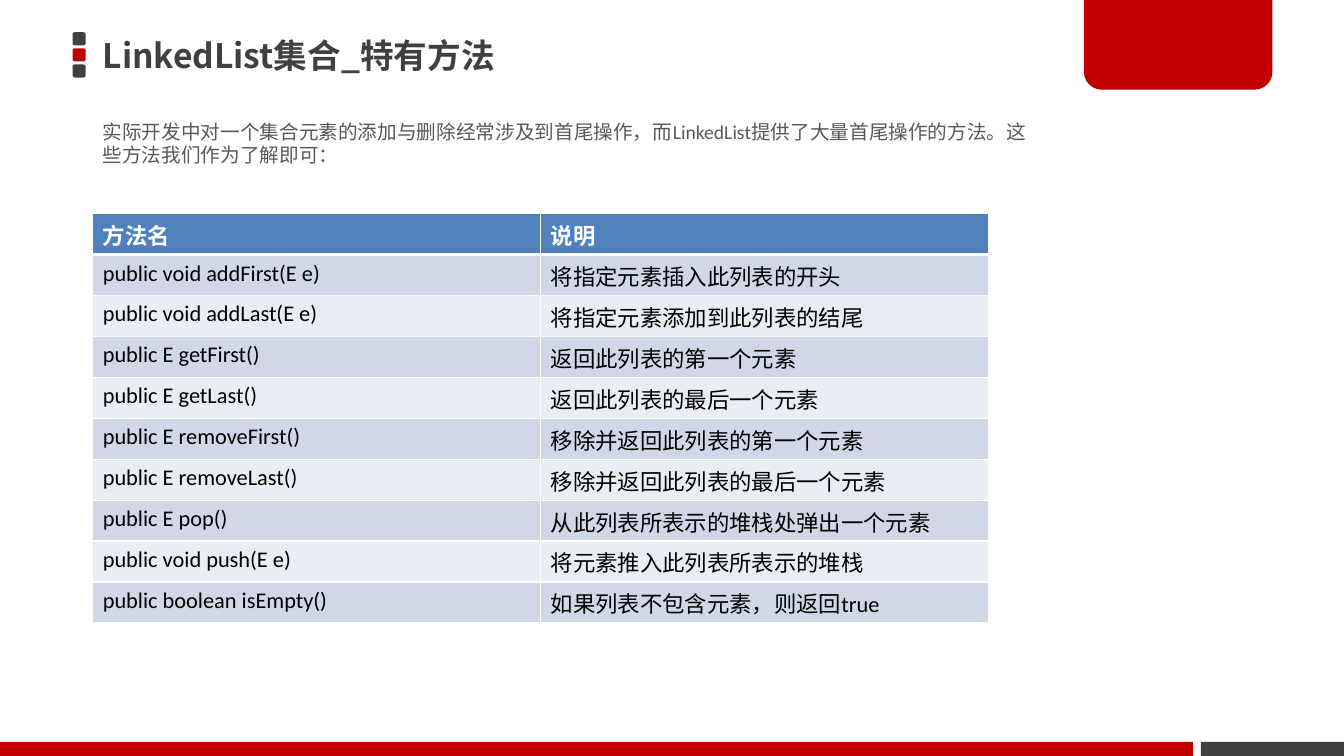
from dataclasses import dataclass

from lxml import etree
from pptx import Presentation
from pptx.dml.color import RGBColor
from pptx.enum.lang import MSO_LANGUAGE_ID
from pptx.enum.shapes import MSO_SHAPE
from pptx.enum.text import MSO_ANCHOR
from pptx.oxml.ns import qn
from pptx.slide import Slide
from pptx.table import _Cell
from pptx.text.text import TextFrame
from pptx.util import Inches, Pt

RECTANGLE = MSO_SHAPE.RECTANGLE
ROUNDED = MSO_SHAPE.ROUNDED_RECTANGLE
ROUNDED_PAIR = MSO_SHAPE.ROUND_2_SAME_RECTANGLE
TOP = MSO_ANCHOR.TOP
MIDDLE = MSO_ANCHOR.MIDDLE
CHINESE = MSO_LANGUAGE_ID.SIMPLIFIED_CHINESE
SLIDE_WIDTH = Inches(13.33)
SLIDE_HEIGHT = Inches(7.5)
BLANK_LAYOUT = 6


@dataclass(frozen=True)
class Theme:
    red: str = "C00000"
    dark: str = "404040"
    gray: str = "595959"
    black: str = "000000"
    white: str = "FFFFFF"
    header: str = "4F81BD"
    bands: tuple[str, str] = ("D0D8E8", "E9EDF4")
    latin: str = "Calibri"
    asian: str = "Noto Sans CJK JP"
    title_size: int = 24
    table_size: int = 16
    body_size: int = 14
    thin_line: int = 1
    thick_line: int = 3


@dataclass(frozen=True)
class Box:
    """Position and size in percent of the slide's width and height."""

    left: float
    top: float
    width: float
    height: float

    def lengths(self) -> tuple[int, int, int, int]:
        return (
            round(SLIDE_WIDTH * self.left / 100),
            round(SLIDE_HEIGHT * self.top / 100),
            round(SLIDE_WIDTH * self.width / 100),
            round(SLIDE_HEIGHT * self.height / 100),
        )


@dataclass(frozen=True)
class Block:
    box: Box
    color: str
    kind: MSO_SHAPE = RECTANGLE
    adjustments: tuple[float, ...] = ()


@dataclass(frozen=True)
class Method:
    signature: str
    description: str


THEME = Theme()
MARGIN = 6.9
MARKER_TOP = 4.27
MARKER_PITCH = 2.13
TITLE_BOX = Box(MARGIN, 3.47, 71.94, 7.6)
BODY_BOX = Box(MARGIN, 15.2, 70.9, 7.6)
TABLE_BOX = Box(MARGIN, 28.27, 66.69, 54.13)

BLOCKS = [
    Block(Box(5.4, MARKER_TOP + index * MARKER_PITCH, 0.98, 1.73), color, ROUNDED, (0.17,))
    for index, color in enumerate((THEME.dark, THEME.red, THEME.dark))
] + [
    Block(Box(89.35, 98.13, 10.65, 1.87), THEME.dark),
    Block(Box(80.65, 0, 14.03, 11.87), THEME.red, ROUNDED_PAIR, (0, 0.2)),
    Block(Box(0, 98.13, 88.75, 1.87), THEME.red),
]

TITLE = "LinkedList集合_特有方法"
BODY = (
    "实际开发中对一个集合元素的添加与删除经常涉及到首尾操作，"
    "而LinkedList提供了大量首尾操作的方法。这些方法我们作为了解即可："
)
HEADER = Method("方法名", "说明")
METHODS = [
    Method("public void addFirst(E e)", "将指定元素插入此列表的开头"),
    Method("public void addLast(E e)", "将指定元素添加到此列表的结尾"),
    Method("public E getFirst()", "返回此列表的第一个元素"),
    Method("public E getLast()", "返回此列表的最后一个元素"),
    Method("public E removeFirst()", "移除并返回此列表的第一个元素"),
    Method("public E removeLast()", "移除并返回此列表的最后一个元素"),
    Method("public E pop()", "从此列表所表示的堆栈处弹出一个元素"),
    Method("public void push(E e)", "将元素推入此列表所表示的堆栈"),
    Method("public boolean isEmpty()", "如果列表不包含元素，则返回true"),
]


def write_text(
    frame: TextFrame,
    text: str,
    *,
    size: int,
    color: str,
    latin: str = THEME.latin,
    asian: str = THEME.asian,
    bold: bool = False,
) -> None:
    run = frame.paragraphs[0].add_run()
    run.text = text
    font = run.font
    font.size = Pt(size)
    font.bold = bold
    font.color.rgb = RGBColor.from_string(color)
    font.language_id = CHINESE
    font.name = latin
    properties = run._r.get_or_add_rPr()
    etree.SubElement(properties, qn("a:ea"), typeface=asian)


def add_block(slide: Slide, block: Block) -> None:
    shape = slide.shapes.add_shape(block.kind, *block.box.lengths())
    for index, value in enumerate(block.adjustments):
        shape.adjustments[index] = value
    shape.shadow.inherit = False
    shape.fill.solid()
    shape.fill.fore_color.rgb = RGBColor.from_string(block.color)
    shape.line.fill.background()


def add_text_frame(slide: Slide, box: Box, anchor: MSO_ANCHOR) -> TextFrame:
    frame = slide.shapes.add_textbox(*box.lengths()).text_frame
    frame.word_wrap = True
    frame.vertical_anchor = anchor
    return frame


def add_border(cell: _Cell, side: str, width: int) -> None:
    properties = cell._tc.get_or_add_tcPr()
    line = etree.SubElement(properties, qn(f"a:ln{side}"), w=str(Pt(width)))
    fill = etree.SubElement(line, qn("a:solidFill"))
    etree.SubElement(fill, qn("a:srgbClr"), val=THEME.white)


def add_method_table(slide: Slide, box: Box) -> None:
    rows = [HEADER, *METHODS]
    table = slide.shapes.add_table(len(rows), 2, *box.lengths()).table
    for row_index, method in enumerate(rows):
        is_header = row_index == 0
        fill_color = THEME.header if is_header else THEME.bands[(row_index - 1) % 2]
        for column_index, text in enumerate((method.signature, method.description)):
            cell = table.cell(row_index, column_index)
            for side in "LRTB":
                thick = (is_header and side == "B") or (row_index == 1 and side == "T")
                add_border(cell, side, THEME.thick_line if thick else THEME.thin_line)
            cell.fill.solid()
            cell.fill.fore_color.rgb = RGBColor.from_string(fill_color)
            write_text(
                cell.text_frame,
                text,
                size=THEME.table_size,
                color=THEME.white if is_header else THEME.black,
                bold=is_header,
            )


def main() -> None:
    presentation = Presentation()
    presentation.slide_width = SLIDE_WIDTH
    presentation.slide_height = SLIDE_HEIGHT
    slide = presentation.slides.add_slide(presentation.slide_layouts[BLANK_LAYOUT])
    for block in BLOCKS:
        add_block(slide, block)
    title = add_text_frame(slide, TITLE_BOX, MIDDLE)
    write_text(title, TITLE, size=THEME.title_size, color=THEME.dark, latin=THEME.asian, bold=True)
    add_method_table(slide, TABLE_BOX)
    body = add_text_frame(slide, BODY_BOX, TOP)
    write_text(body, BODY, size=THEME.body_size, color=THEME.gray, asian=THEME.latin)
    presentation.save("out.pptx")


if __name__ == "__main__":
    main()
